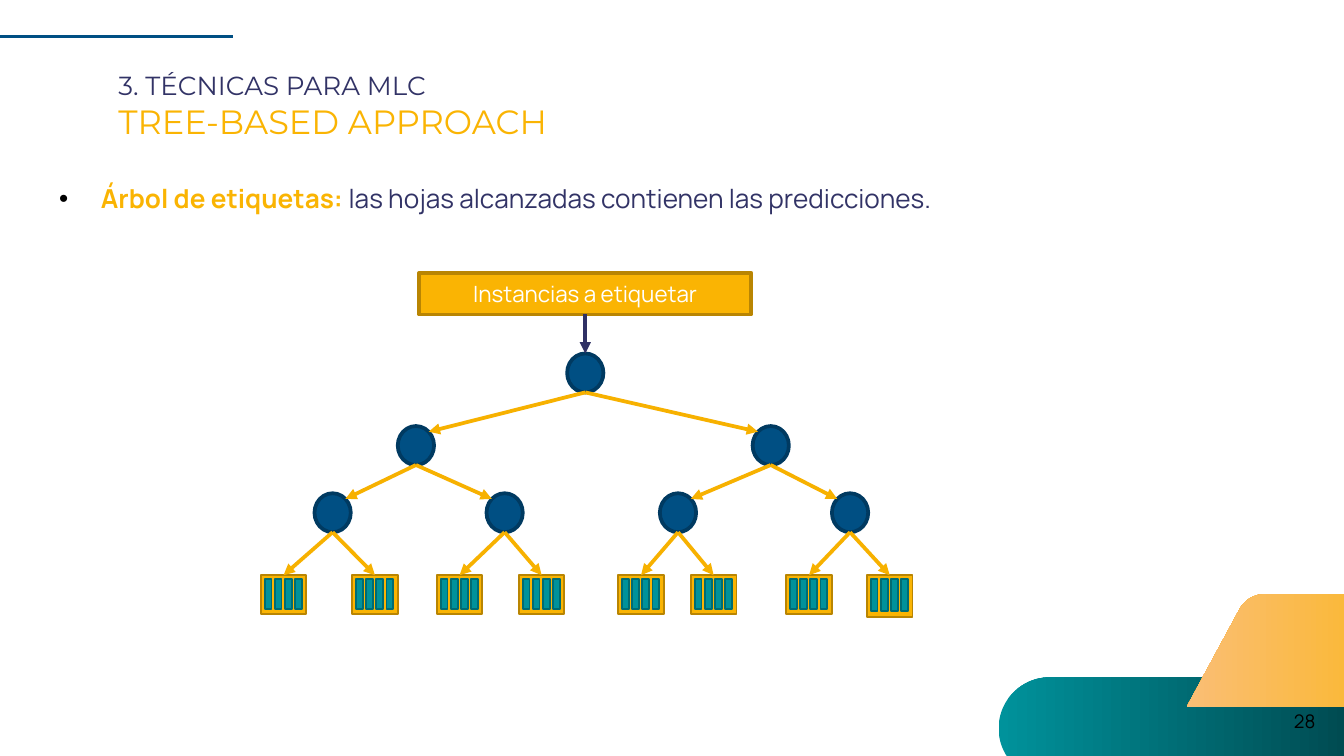
from dataclasses import dataclass
from math import sqrt
from pptx import Presentation
from pptx import util as u
from pptx.dml.color import RGBColor
from pptx.enum import shapes, text
from pptx.oxml import parse_xml
from pptx.oxml.ns import nsdecls, qn


@dataclass(frozen=True)
class Theme:
    gold: str = "FAB403"
    rim: str = "B98502"
    edge: str = "F7B100"
    navy: str = "323366"
    stem: str = "303165"
    blue: str = "004F83"
    deep: str = "003A61"
    teal: str = "00929B"
    pine: str = "006C73"
    white: str = "FFFFFF"
    black: str = "000000"
    head: str = "Montserrat"
    body: str = "Manrope"
    big: int = 18
    mid: int = 14
    small: int = 12
    tiny: int = 10


T = Theme()
WIDE = u.Inches(10)
HIGH = int(WIDE * 9 / 16)
CELL = WIDE / 100  # the grid has 100 columns of square cells
FORM = shapes.MSO_SHAPE


def grid(*cells):
    return [round(c * CELL) for c in cells]


def apply(item, **values):
    for name, value in values.items():
        setattr(item, name, value)


def write(par, words, face, size, color, bold=False):
    run = par.add_run()
    run.text = words
    apply(run.font, name=face, size=u.Pt(size), bold=bold)
    run.font.color.rgb = RGBColor.from_string(color)


def block(slide, kind, box, fill, line, width):
    item = slide.shapes.add_shape(kind, *grid(*box))
    item.shadow.inherit = False
    item.fill.solid()
    item.fill.fore_color.rgb = RGBColor.from_string(fill)
    item.line.color.rgb = RGBColor.from_string(line)
    item.line.width = u.Pt(width)
    return item


def link(slide, start, end, color, width=2, arrow=True):
    item = slide.shapes.add_connector(
        shapes.MSO_CONNECTOR.STRAIGHT, *grid(*start, *end))
    item.line.color.rgb = RGBColor.from_string(color)
    item.line.width = u.Pt(width)
    if arrow:
        item.line._get_or_add_ln().append(
            parse_xml(f'<a:tailEnd {nsdecls("a")} type="triangle"/>'))
    item._element.spPr.append(parse_xml(f'<a:effectLst {nsdecls("a")}/>'))
    return item


def blend(item, stops, angle):
    item.shadow.inherit = False
    item.line.fill.background()
    marks = "".join(f'<a:gs pos="{pos * 1000}"><a:srgbClr val="{color}"/></a:gs>'
                    for pos, color in stops)
    item._element.spPr.insert(2, parse_xml(
        f'<a:gradFill {nsdecls("a")} rotWithShape="1"><a:gsLst>{marks}</a:gsLst>'
        f'<a:lin ang="{angle * 60000}" scaled="0"/></a:gradFill>'))


def decor(slide, box):
    x, y, w, h = box
    # Top rule
    link(slide, (x, y + 2.7), (x + 17.3, y + 2.7), T.blue, 1.5, False)
    # Teal band
    band = slide.shapes.add_shape(
        FORM.ROUNDED_RECTANGLE, *grid(x + 74.3, y + 50.4, 32.9, 7.6))
    band.adjustments[0] = 0.5
    blend(band, [(0, T.teal), (100, "00373D")], 0)
    # Gold flag with a rounded upper left corner
    knots = [(94.2, 44.2), (93.4, 44.2), (92.6, 44.6), (92.2, 45.4)]
    curve = []
    for step in range(13):
        t = step / 12
        parts = ((1 - t) ** 3, 3 * t * (1 - t) ** 2, 3 * t * t * (1 - t), t ** 3)
        curve.append(tuple(sum(p * k[i] for p, k in zip(parts, knots))
                           for i in (0, 1)))
    dots = curve + [(88.3, 52.6), (101.6, 52.6), (106.1, 44.2)]
    dots = [grid(x + a, y + b) for a, b in dots]
    pen = slide.shapes.build_freeform(*dots[0])
    pen.add_line_segments(dots[1:], close=True)
    blend(pen.convert_to_shape(),
          [(0, T.gold), (34, "FAB93C"), (100, "FABE75")], 180)


def place(item, box):
    for name, value in zip(("left", "top", "width", "height"), grid(*box)):
        setattr(item, name, value)


def heading(item, box):
    place(item, box)
    frame = item.text_frame
    pad = u.Inches(0.1)
    apply(frame, vertical_anchor=text.MSO_ANCHOR.MIDDLE, word_wrap=True,
          auto_size=text.MSO_AUTO_SIZE.NONE, margin_left=pad, margin_right=pad,
          margin_top=pad, margin_bottom=pad)
    lines = [("3. TÉCNICAS PARA MLC", T.mid, T.navy),
             ("TREE-BASED APPROACH", T.big, T.gold)]
    for n, (words, size, color) in enumerate(lines):
        par = frame.add_paragraph() if n else frame.paragraphs[0]
        par.alignment = text.PP_ALIGN.LEFT
        write(par, words, T.head, size, color)


def bullet(item, box):
    place(item, box)
    apply(item.text_frame, word_wrap=True,
          auto_size=text.MSO_AUTO_SIZE.SHAPE_TO_FIT_TEXT)
    par = item.text_frame.paragraphs[0]
    par.space_before = u.Pt(0)
    props = par._p.get_or_add_pPr()
    indent = u.Inches(0.31)
    props.set("marL", str(indent))
    props.set("indent", str(-indent))
    for tag in (f'<a:buClr {nsdecls("a")}><a:srgbClr val="{T.black}"/></a:buClr>',
                f'<a:buFont {nsdecls("a")} typeface="Arial"/>',
                f'<a:buChar {nsdecls("a")} char="•"/>'):
        props.append(parse_xml(tag))
    write(par, "Árbol de etiquetas: ", T.body, T.mid, T.gold, True)
    write(par, "las hojas alcanzadas contienen las predicciones.",
          T.body, T.mid, T.navy)


def leaf(slide, box):
    x, y, w, h = box
    item = block(slide, FORM.RECTANGLE, box, T.gold, T.rim, 1)
    for n in range(4):
        bar = (x + 0.3 + 0.75 * n, y + 0.3, 0.5, h - 0.7)
        block(slide, FORM.RECTANGLE, bar, T.teal, T.pine, 1)
    return item


def tree(slide, box):
    x, y, w, h = box
    wide, tall = 2.7, 2.9
    # Input box
    source = block(slide, FORM.RECTANGLE, (x + 11.8, y, 24.7, 3.1),
                   T.gold, T.rim, 2)
    source.text_frame.vertical_anchor = text.MSO_ANCHOR.MIDDLE
    par = source.text_frame.paragraphs[0]
    par.alignment = text.PP_ALIGN.CENTER
    write(par, "Instancias a etiquetar", T.body, T.small, T.white)
    # Inner nodes, level by level: top row, then centre columns
    levels = [(6, [24.15]), (11.4, [11.55, 37.95]),
              (16.4, [5.35, 18.15, 31.05, 43.85])]
    for top, mids in levels:
        for mid in mids:
            block(slide, FORM.OVAL, (x + mid - wide / 2, y + top, wide, tall),
                  T.blue, T.deep, 2)
    # Leaves
    foot = 22.5
    ends = [1.7, 8.5, 14.8, 20.9, 28.3, 33.7, 40.8, 46.8]
    leaves = [leaf(slide, (x + mid - 1.7, y + foot, 3.4,
                           3.1 if mid == ends[-1] else 2.9)) for mid in ends]
    # Arrow into the root
    root = x + levels[0][1][0]
    stem = link(slide, (root, y + 3.1), (root, y + levels[0][0]), T.stem)
    stem.begin_connect(source, 2)
    # Each node points to its two children
    for (top, mids), (low, kids) in zip(levels, levels[1:] + [(foot, ends)]):
        for n, kid in enumerate(kids):
            start = (x + mids[n // 2], y + top + tall)
            if low == foot:
                arrow = link(slide, start, (x + kid, y + low), T.edge)
                arrow.end_connect(leaves[n], 0)
            else:
                side = 1 if n % 2 == 0 else -1
                end = (x + kid + side * wide / 2 / sqrt(2),
                       y + low + tall / 2 * (1 - 1 / sqrt(2)))
                link(slide, start, end, T.edge)


def number(slide, box):
    frame = slide.shapes.add_textbox(*grid(*box)).text_frame
    apply(frame, word_wrap=False,
          auto_size=text.MSO_AUTO_SIZE.SHAPE_TO_FIT_TEXT)
    write(frame.paragraphs[0], "28", T.body, T.tiny, T.black)


def main():
    deck = Presentation()
    apply(deck, slide_width=WIDE, slide_height=HIGH)
    slide = deck.slides.add_slide(deck.slide_layouts[1])
    decor(slide, (0, 0, 100, 56.25))
    heading(slide.shapes.title, (7.8, 4.7, 84.4, 6.3))
    bullet(slide.placeholders[1], (3.4, 13.1, 80, 3.4))
    tree(slide, (19.4, 20.3, 48.5, 25.6))
    number(slide, (95.3, 52.3, 3.6, 2.7))
    deck.save("out.pptx")


if __name__ == "__main__":
    main()
